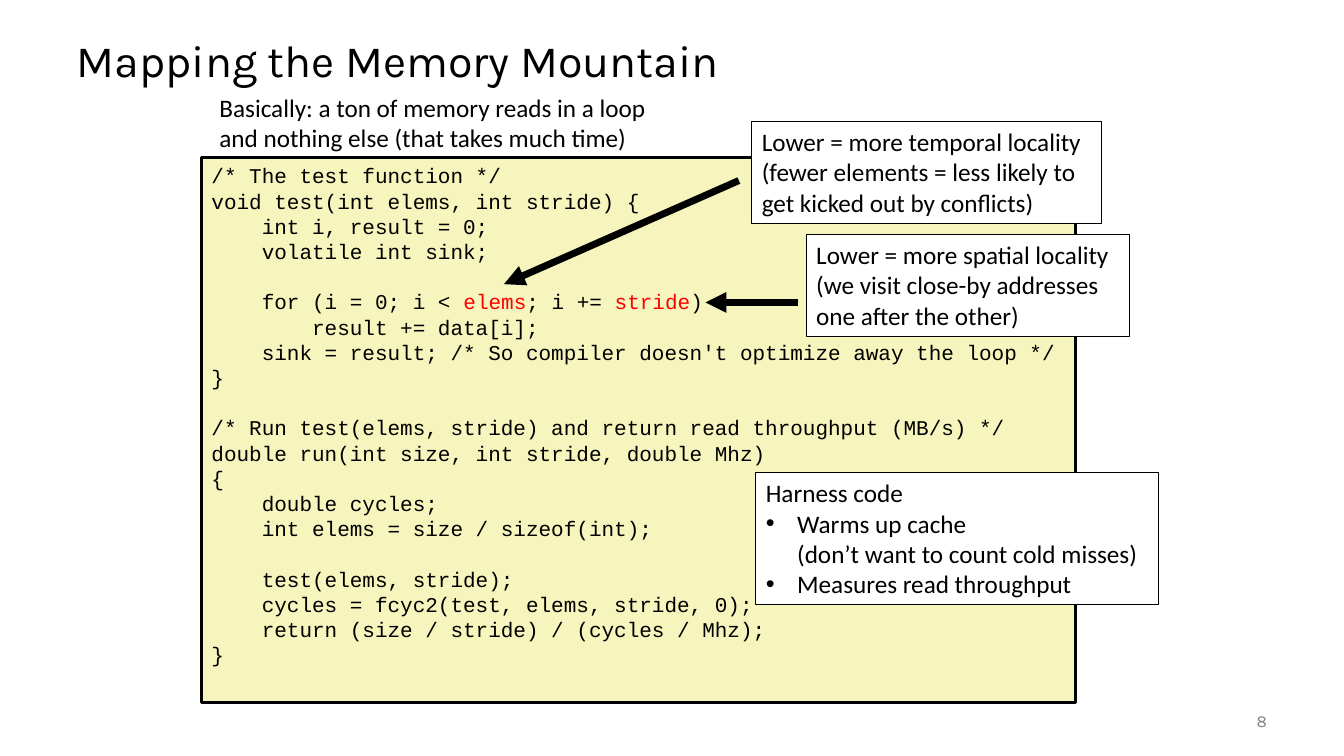
import pptx
import pptx.dml.color
import pptx.enum.shapes
import pptx.enum.text
import pptx.oxml
import pptx.util
from dataclasses import dataclass
from pptx.util import Cm

TITLE = "Mapping the Memory Mountain"
SUMMARY = [
    "Basically: a ton of memory reads in a loop",
    "and nothing else (that takes much time)",
]
CODE = """/* The test function */
void test(int elems, int stride) {
    int i, result = 0;
    volatile int sink;

    for (i = 0; i < elems; i += stride)
        result += data[i];
    sink = result; /* So compiler doesn't optimize away the loop */
}

/* Run test(elems, stride) and return read throughput (MB/s) */
double run(int size, int stride, double Mhz)
{
    double cycles;
    int elems = size / sizeof(int);

    test(elems, stride);
    cycles = fcyc2(test, elems, stride, 0);
    return (size / stride) / (cycles / Mhz);
}""".split("\n")
LOOP_LINE = 5
LOOP_PARAMETERS = ("elems", "stride")
SPATIAL = [
    "Lower = more spatial locality",
    "(we visit close-by addresses",
    "one after the other)",
]
TEMPORAL = [
    "Lower = more temporal locality",
    "(fewer elements = less likely to",
    "get kicked out by conflicts)",
]
HARNESS = [
    "Harness code",
    "• Warms up cache\n(don’t want to count cold misses)",
    "• Measures read throughput",
]
PAGE_NUMBER = "8"

# Left, top, width, height in centimetres
TITLE_AREA = (1.68, 0.64, 30.48, 1.9)
SUMMARY_AREA = (5.28, 2.2, 11.6, 1.8)
CODE_AREA = (5.08, 3.98, 22.02, 13.72)
SPATIAL_AREA = (20.32, 5.91, 8.14, 2.57)
TEMPORAL_AREA = (18.95, 3.06, 8.82, 2.57)
HARNESS_AREA = (19.05, 11.91, 10.14, 3.33)
NUMBER_AREA = (29.64, 17.66, 2.54, 1.02)
# Start x, y and end x, y in centimetres
SPATIAL_ARROW = (20.12, 7.62, 17.78, 7.62)
TEMPORAL_ARROW = (18.62, 4.55, 12.7, 7.16)
BULLET_INDENT = 0.79


@dataclass(frozen=True)
class Theme:
    title_font: str = "Karla"
    note_font: str = "Calibri"
    code_font: str = "Courier New"
    title_size: float = 32
    note_size: float = 18
    code_size: float = 15
    number_size: float = 12
    code_border: float = 2
    note_border: float = 0.75
    arrow_width: float = 5
    ink: str = "000000"
    highlight: str = "FF0000"
    muted: str = "808080"
    code_fill: str = "F6F5BD"
    note_fill: str = "FFFFFF"


THEME = Theme()


def rgb(value):
    return pptx.dml.color.RGBColor.from_string(value)


def add_xml(parent, tag, **attributes):
    child = pptx.oxml.parse_xml(f"<a:{tag} {pptx.oxml.ns.nsdecls('a')}/>")
    for name, value in attributes.items():
        child.set(name, str(value))
    parent.append(child)


def split_words(line, words):
    """Cut a line into (text, is_highlighted) pieces around the given words."""
    pieces = []
    for word in words:
        before, _, line = line.partition(word)
        pieces += [(before, False), (word, True)]
    return pieces + [(line, False)]


def write_text(shape, lines, font=THEME.note_font, size=THEME.note_size, color=THEME.ink,
               align=pptx.enum.text.PP_ALIGN.LEFT, anchor=pptx.enum.text.MSO_ANCHOR.TOP,
               wrap=False, spacing=None, highlights=None):
    """Fill a shape; highlights maps a line index to the words to be coloured."""
    frame = shape.text_frame
    frame.word_wrap = wrap
    frame.vertical_anchor = anchor
    for index, line in enumerate(lines):
        paragraph = frame.paragraphs[0] if index == 0 else frame.add_paragraph()
        paragraph.alignment = align
        if spacing:
            paragraph.line_spacing = spacing
        if line.startswith("• "):
            line = line[2:]
            properties = paragraph._p.get_or_add_pPr()
            properties.set("marL", str(Cm(BULLET_INDENT)))
            properties.set("indent", str(-Cm(BULLET_INDENT)))
            add_xml(properties, "buFont", typeface="Arial")
            add_xml(properties, "buChar", char="•")
        paragraph.font.size = pptx.util.Pt(size)
        paragraph.font.name = font
        for part_index, part in enumerate(line.split("\n")):
            if part_index:
                paragraph.add_line_break()
            for text, highlighted in split_words(part, (highlights or {}).get(index, ())):
                if text:
                    run = paragraph.add_run()
                    run.text = text
                    run.font.name = font
                    run.font.size = pptx.util.Pt(size)
                    run.font.color.rgb = rgb(THEME.highlight if highlighted else color)


def add_text_box(slide, area, lines, **text_format):
    write_text(slide.shapes.add_textbox(*map(Cm, area)), lines, **text_format)


def add_panel(slide, area, lines, fill=THEME.note_fill, border=THEME.note_border, **text_format):
    panel = slide.shapes.add_shape(pptx.enum.shapes.MSO_SHAPE.RECTANGLE, *map(Cm, area))
    panel.shadow.inherit = False
    panel.fill.solid()
    panel.fill.fore_color.rgb = rgb(fill)
    panel.line.color.rgb = rgb(THEME.ink)
    panel.line.width = pptx.util.Pt(border)
    write_text(panel, lines, **text_format)


def add_arrow(slide, ends):
    arrow = slide.shapes.add_connector(
        pptx.enum.shapes.MSO_CONNECTOR.STRAIGHT, *map(Cm, ends))
    arrow.line.color.rgb = rgb(THEME.ink)
    arrow.line.width = pptx.util.Pt(THEME.arrow_width)
    add_xml(arrow.line._get_or_add_ln(), "tailEnd", type="triangle")
    add_xml(arrow._element.spPr, "effectLst")


def main():
    presentation = pptx.Presentation()
    presentation.slide_width = Cm(33.87)
    presentation.slide_height = Cm(19.05)
    slide = presentation.slides.add_slide(presentation.slide_layouts.get_by_name("Title Only"))
    middle = pptx.enum.text.MSO_ANCHOR.MIDDLE

    title = slide.shapes.title
    title.left, title.top, title.width, title.height = map(Cm, TITLE_AREA)
    write_text(title, [TITLE], font=THEME.title_font, size=THEME.title_size,
               anchor=middle, wrap=True, spacing=0.9)
    add_panel(slide, CODE_AREA, CODE, fill=THEME.code_fill, border=THEME.code_border,
              font=THEME.code_font, size=THEME.code_size, wrap=True,
              highlights={LOOP_LINE: LOOP_PARAMETERS})
    add_arrow(slide, SPATIAL_ARROW)
    add_panel(slide, SPATIAL_AREA, SPATIAL)
    add_panel(slide, TEMPORAL_AREA, TEMPORAL)
    add_arrow(slide, TEMPORAL_ARROW)
    add_text_box(slide, SUMMARY_AREA, SUMMARY)
    add_panel(slide, HARNESS_AREA, HARNESS)
    add_text_box(slide, NUMBER_AREA, [PAGE_NUMBER], font=THEME.title_font,
                 size=THEME.number_size, color=THEME.muted, anchor=middle, wrap=True,
                 align=pptx.enum.text.PP_ALIGN.RIGHT)
    presentation.save("out.pptx")


if __name__ == "__main__":
    main()
